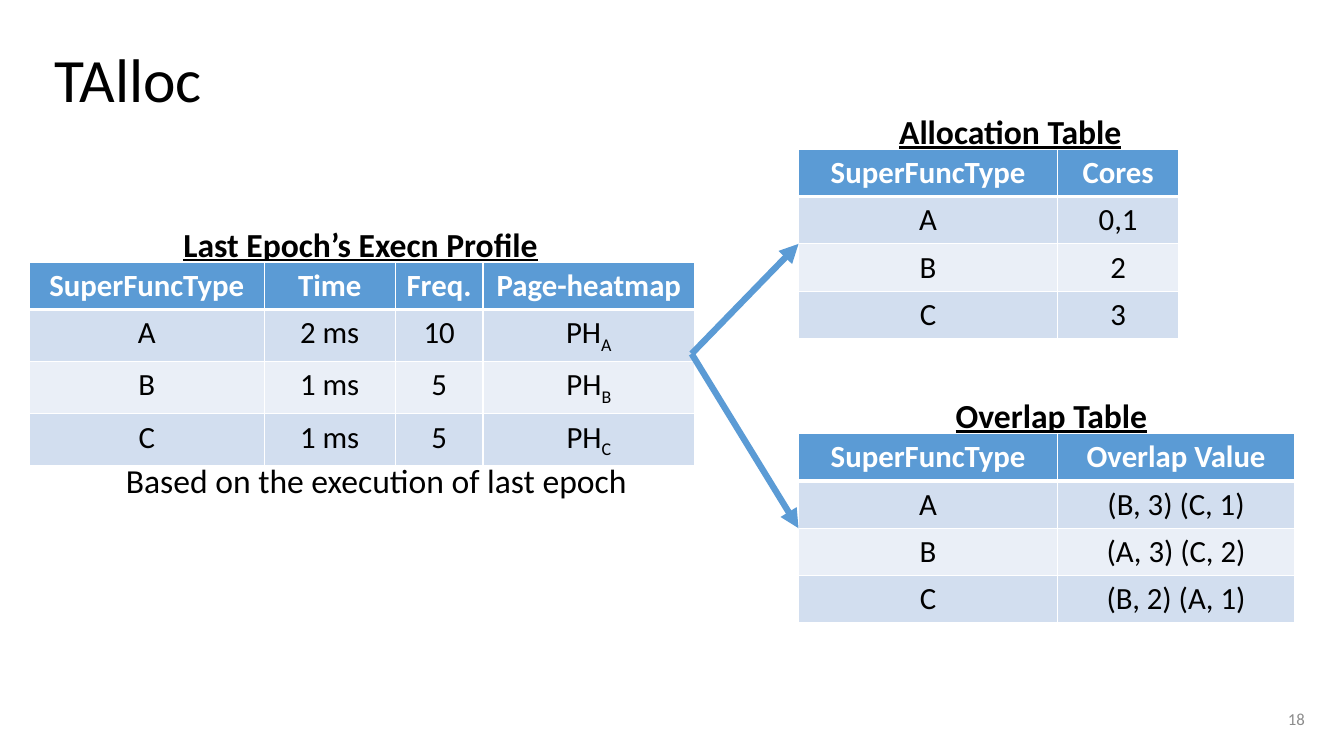
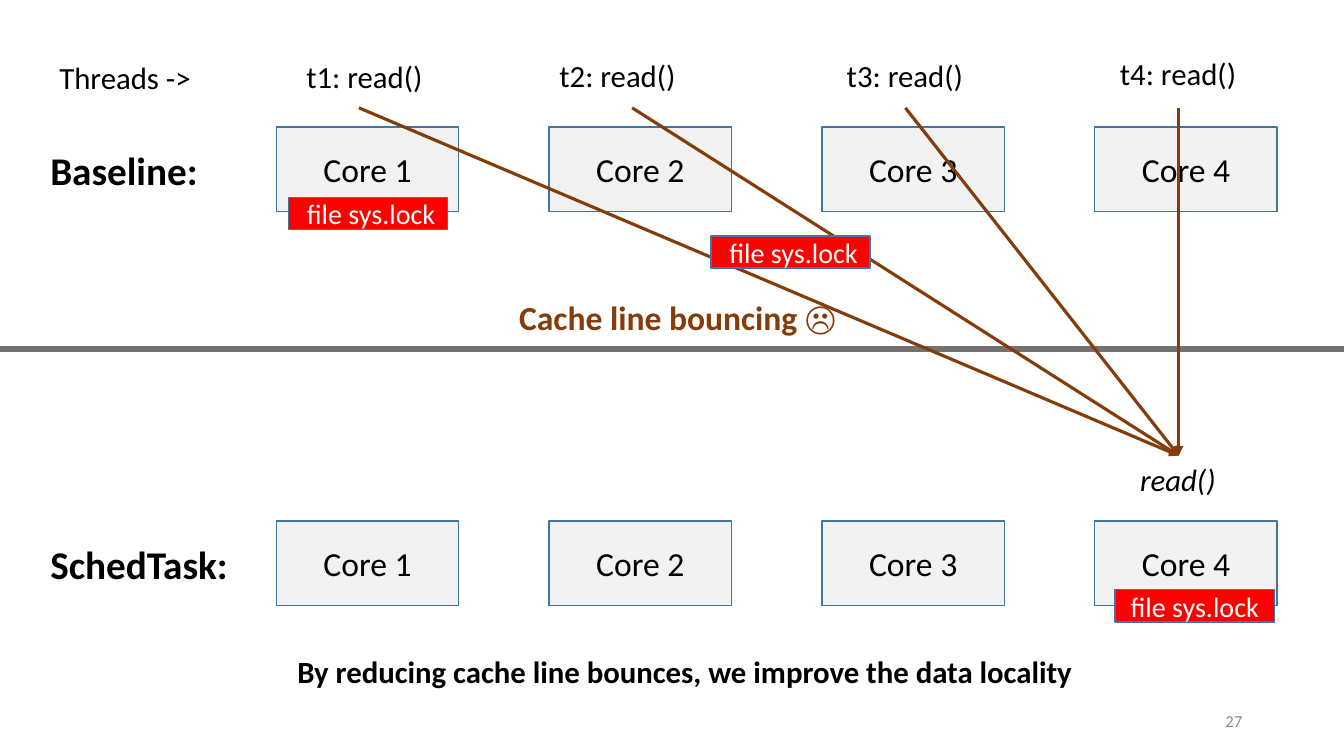
from lxml import etree
from pptx import Presentation
from pptx.dml.color import RGBColor
from pptx.enum import shapes, text
from pptx.oxml import ns
from pptx.util import Inches, Pt

FONT = "Calibri"
BLACK = RGBColor(0x00, 0x00, 0x00)
WHITE = RGBColor(0xFF, 0xFF, 0xFF)
GREY = RGBColor(0x8C, 0x8C, 0x8C)
DIVIDER = RGBColor(0x76, 0x71, 0x71)
BLUE = RGBColor(0x5B, 0x9B, 0xD5)
BAND_DARK = RGBColor(0xD2, 0xDE, 0xEF)
BAND_LIGHT = RGBColor(0xEA, 0xEF, 0xF7)
OUTLINE = RGBColor(0x43, 0x73, 0x9E)
CORE_FILL = RGBColor(0xF2, 0xF2, 0xF2)
RED = RGBColor(0xFF, 0x00, 0x00)
BROWN = RGBColor(0x84, 0x3C, 0x0B)

ROW_HEIGHT = 0.47
CORE_WIDTH, CORE_HEIGHT = 1.81, 0.84
CORE_LEFT, CORE_STEP = 2.74, 2.706
LEFT, CENTER, RIGHT = text.PP_ALIGN.LEFT, text.PP_ALIGN.CENTER, text.PP_ALIGN.RIGHT
TOP, MIDDLE = text.MSO_ANCHOR.TOP, text.MSO_ANCHOR.MIDDLE


def add_run(paragraph, content, size=22, color=BLACK, bold=False, italic=False,
            underline=False, subscript=False):
    run = paragraph.add_run()
    run.text = content
    font = run.font
    font.name, font.size, font.color.rgb = FONT, Pt(size), color
    font.bold, font.italic, font.underline = bold, italic, underline
    if subscript:
        run._r.get_or_add_rPr().set("baseline", "-25000")


def add_text(slide, content, left, top, width, height, align=LEFT, anchor=TOP,
             wrap=False, line_spacing=None, **style):
    box = slide.shapes.add_textbox(Inches(left), Inches(top), Inches(width), Inches(height))
    frame = box.text_frame
    frame.word_wrap = wrap
    frame.vertical_anchor = anchor
    paragraph = frame.paragraphs[0]
    paragraph.alignment = align
    if line_spacing:
        paragraph.line_spacing = line_spacing
    add_run(paragraph, content, **style)


def add_page_number(slide, number, left, top):
    add_text(slide, number, left, top, 3, 0.4, align=RIGHT, anchor=MIDDLE, size=12, color=GREY)


def add_line(slide, start, end, color, width, arrow=False):
    points = [Inches(value) for value in (*start, *end)]
    line = slide.shapes.add_connector(shapes.MSO_CONNECTOR.STRAIGHT, *points)
    line.line.color.rgb = color
    line.line.width = Pt(width)
    if arrow:
        etree.SubElement(line.line._get_or_add_ln(), ns.qn("a:tailEnd"), type="triangle")
    etree.SubElement(line._element.spPr, ns.qn("a:effectLst"))


def add_box(slide, content, left, top, width, height, fill, inset=0.1, **style):
    box = slide.shapes.add_shape(shapes.MSO_SHAPE.RECTANGLE, Inches(left), Inches(top),
                                 Inches(width), Inches(height))
    box.shadow.inherit = False
    box.fill.solid()
    box.fill.fore_color.rgb = fill
    box.line.color.rgb = OUTLINE
    box.line.width = Pt(1)
    frame = box.text_frame
    frame.word_wrap = True
    frame.margin_left = Inches(inset)
    frame.vertical_anchor = MIDDLE
    paragraph = frame.paragraphs[0]
    paragraph.alignment = CENTER
    add_run(paragraph, content, **style)


def style_cell(cell, fill, bottom_width):
    properties = cell._tc.get_or_add_tcPr()
    for side in "LRTB":
        width = bottom_width if side == "B" else 1
        border = etree.SubElement(properties, ns.qn(f"a:ln{side}"), w=str(Pt(width)))
        solid = etree.SubElement(border, ns.qn("a:solidFill"))
        etree.SubElement(solid, ns.qn("a:srgbClr"), val=str(WHITE))
    cell.fill.solid()
    cell.fill.fore_color.rgb = fill


def add_captioned_table(slide, caption, caption_left, caption_width, left, top, widths, rows):
    add_text(slide, caption, caption_left, top - 0.43, caption_width, 0.5,
             size=24, bold=True, underline=True)
    table = slide.shapes.add_table(len(rows), len(widths), Inches(left), Inches(top),
                                   Inches(sum(widths)), Inches(ROW_HEIGHT * len(rows))).table
    table.horz_banding = False
    for column, width in zip(table.columns, widths):
        column.width = Inches(width)
    for row_index, row in enumerate(rows):
        header = row_index == 0
        fill = BLUE if header else BAND_DARK if row_index % 2 else BAND_LIGHT
        for column_index, content in enumerate(row):
            cell = table.cell(row_index, column_index)
            style_cell(cell, fill, 3 if header else 1)
            paragraph = cell.text_frame.paragraphs[0]
            paragraph.alignment = CENTER
            base, _, subscript = content.partition("_")
            add_run(paragraph, base, color=WHITE if header else BLACK, bold=header)
            if subscript:
                add_run(paragraph, subscript, subscript=True)


def add_core_row(slide, label, label_width, top):
    add_text(slide, label, 0.4, top + 0.14, label_width, 0.57, size=28, bold=True)
    for index in range(4):
        add_box(slide, f"Core {index + 1}", CORE_LEFT + index * CORE_STEP, top,
                CORE_WIDTH, CORE_HEIGHT, CORE_FILL, size=24)


def add_lock(slide, left, top, inset=0.16):
    add_box(slide, "file sys.lock", left, top, 1.58, 0.32, RED, inset, size=20, color=WHITE)


def build_allocation_slide(slide):
    add_text(slide, "TAlloc", 0.44, 0.09, 11.5, 1.45, anchor=MIDDLE, wrap=True,
             line_spacing=0.9, size=44)
    add_captioned_table(slide, "Last Epoch’s Execn Profile", 1.72, 3.75, 0.29, 2.6,
                        (2.33, 1.3, 0.87, 2.1), (
                            ("SuperFuncType", "Time", "Freq.", "Page-heatmap"),
                            ("A", "2 ms", "10", "PH_A"),
                            ("B", "1 ms", "5", "PH_B"),
                            ("C", "1 ms", "5", "PH_C")))
    add_captioned_table(slide, "Allocation Table", 8.82, 2.43, 7.92, 1.48, (2.57, 1.2), (
        ("SuperFuncType", "Cores"), ("A", "0,1"), ("B", "2"), ("C", "3")))
    add_captioned_table(slide, "Overlap Table", 9.38, 2.12, 7.92, 4.3, (2.57, 2.35), (
        ("SuperFuncType", "Overlap Value"), ("A", "(B, 3) (C, 1)"),
        ("B", "(A, 3) (C, 2)"), ("C", "(B, 2) (A, 1)")))
    for table_middle in (2.42, 5.24):
        add_line(slide, (6.86, 3.51), (7.92, table_middle), BLUE, 4.5, arrow=True)
    add_text(slide, "Based on the execution of last epoch", 1.15, 4.51, 5.18, 0.5,
             wrap=True, size=24)
    add_page_number(slide, "18", 10.04, 6.93)


def build_locality_slide(slide):
    add_core_row(slide, "Baseline:", 1.68, 1.26)
    add_lock(slide, 2.86, 1.96)
    add_line(slide, (0, 3.46), (13.33, 3.46), DIVIDER, 4.5)
    add_core_row(slide, "SchedTask:", 1.98, 5.17)
    add_text(slide, "read()", 11.21, 4.52, 0.96, 0.47, italic=True)
    add_lock(slide, 11.06, 5.85, inset=0.1)
    for index in range(4):
        add_line(slide, (3.56 + index * 2.71, 1.07), (11.69, 4.52), BROWN, 2.25, arrow=True)
    add_text(slide, "Cache line bouncing ☹", 5.05, 2.9, 3.42, 0.5, wrap=True,
             size=24, color=BROWN, bold=True)
    add_text(slide, "Threads ->", 0.49, 0.53, 1.59, 0.47)
    thread_places = ((2.94, 0.52), (5.45, 0.51), (8.3, 0.51), (11.01, 0.49))
    for number, (left, top) in enumerate(thread_places, 1):
        add_text(slide, f"t{number}: read()", left, top, 1.37, 0.47)
    add_lock(slide, 7.05, 2.34)
    add_text(slide, "By reducing cache line bounces, we improve the data locality",
             2.85, 6.43, 7.98, 0.47, bold=True)
    add_page_number(slide, "27", 9.42, 6.95)


def main():
    presentation = Presentation()
    presentation.slide_width, presentation.slide_height = Inches(13.33), Inches(7.5)
    for build in (build_allocation_slide, build_locality_slide):
        build(presentation.slides.add_slide(presentation.slide_layouts[6]))
    presentation.save("out.pptx")


if __name__ == "__main__":
    main()
